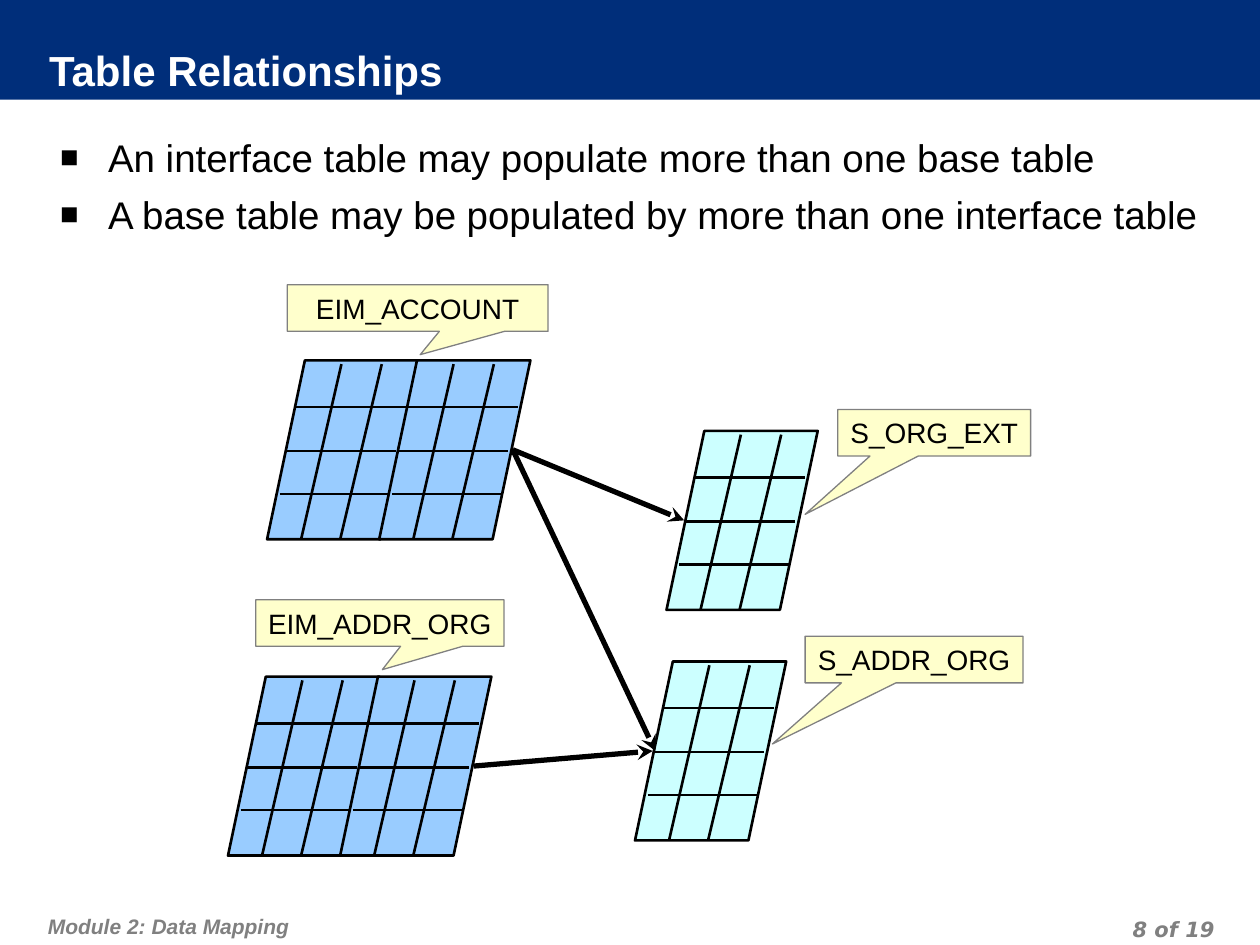
from dataclasses import dataclass

from lxml.etree import SubElement
from pptx import Presentation
from pptx.dml.color import RGBColor
from pptx.enum.shapes import MSO_CONNECTOR, MSO_SHAPE
from pptx.enum.text import MSO_ANCHOR, PP_ALIGN
from pptx.oxml.ns import qn
from pptx.util import Inches, Pt


@dataclass(frozen=True)
class Theme:
    """Colours, fonts and type sizes of the slide."""
    navy: str = "002E7A"
    white: str = "FFFFFF"
    black: str = "000000"
    grey: str = "808080"
    interface_blue: str = "99CCFF"
    base_cyan: str = "CCFFFF"
    label_yellow: str = "FFFFCC"
    font: str = "Arial"
    page_font: str = "DejaVu Sans"
    title_size: int = 24
    body_size: int = 22
    label_size: int = 16
    footer_size: int = 12


THEME = Theme()
TILE_WIDTH, TILE_HEIGHT, TILE_STEP = 1.2, 1.42, 0.89
COLUMN_RULES = ((0.59, 0.27), (0.91, 0.58))
ROW_RULES = ((0.23, 0.37), (0.15, 0.72), (0.1, 1.06))


def inches(*lengths):
    """Convert plain numbers to slide lengths."""
    return [Inches(length) for length in lengths]


def style_font(paragraph, size, color, name=THEME.font, bold=False, italic=False):
    """Set the type of every run in a paragraph."""
    for run in paragraph.runs:
        font = run.font
        font.name, font.size = name, Pt(size)
        font.bold, font.italic = bold, italic
        font.color.rgb = RGBColor.from_string(color)


def set_insets(frame, left, top, right, bottom):
    """Set the four inner margins of a text frame."""
    frame.margin_left, frame.margin_top, frame.margin_right, frame.margin_bottom = inches(
        left, top, right, bottom)


def add_text(slide, box, lines, insets):
    """Add a wrapping text box with one paragraph per line."""
    frame = slide.shapes.add_textbox(*inches(*box)).text_frame
    frame.word_wrap = True
    set_insets(frame, *insets)
    frame.text = "\n".join(lines)
    return frame


def add_filled(slide, kind, box, fill, outline=None, weight=0.75):
    """Add a flat preset shape."""
    shape = slide.shapes.add_shape(kind, *inches(*box))
    shape.shadow.inherit = False
    shape.fill.solid()
    shape.fill.fore_color.rgb = RGBColor.from_string(fill)
    if outline:
        shape.line.color.rgb = RGBColor.from_string(outline)
        shape.line.width = Pt(weight)
    else:
        shape.line.fill.background()
    return shape


def add_rule(slide, start, end, weight=1.5, arrow=False):
    """Add a straight black line, with an arrowhead at its end if wanted."""
    rule = slide.shapes.add_connector(MSO_CONNECTOR.STRAIGHT, *inches(*start, *end))
    rule.line.color.rgb = RGBColor.from_string(THEME.black)
    rule.line.width = Pt(weight)
    if arrow:
        SubElement(rule.line._get_or_add_ln(), qn("a:tailEnd"), type="stealth")
    SubElement(rule._element.spPr, qn("a:effectLst"))


def add_header(slide, box, title):
    """Draw the title band and its title."""
    left, top, width, height = box
    add_filled(slide, MSO_SHAPE.RECTANGLE, box, THEME.navy)
    title_box = (left + 0.39, top + height - 0.41, width - 0.83, 0.4)
    frame = add_text(slide, title_box, [title], (0, 0, 0.05, 0.05))
    frame.vertical_anchor = MSO_ANCHOR.MIDDLE
    style_font(frame.paragraphs[0], THEME.title_size, THEME.white, bold=True)


def add_bullets(slide, box, points):
    """Write the square-bulleted statements."""
    frame = add_text(slide, box, points, (0.1, 0.13, 0.1, 0.05))
    for index, paragraph in enumerate(frame.paragraphs):
        if index:
            paragraph.space_before = Pt(6.5)
        properties = paragraph._p.get_or_add_pPr()
        properties.set("marL", str(Inches(0.38)))
        properties.set("indent", str(-Inches(0.38)))
        bullet_color = SubElement(properties, qn("a:buClr"))
        SubElement(bullet_color, qn("a:srgbClr"), val=THEME.black)
        SubElement(properties, qn("a:buSzPct"), val="80000")
        SubElement(properties, qn("a:buFont"), typeface=THEME.font)
        SubElement(properties, qn("a:buChar"), char="■")
        style_font(paragraph, THEME.body_size, THEME.black)


def add_table_icon(slide, left, top, fill, tiles):
    """Draw a slanted table from three-column tiles set side by side."""
    for tile in range(tiles):
        x = left + tile * TILE_STEP
        sheet = add_filled(slide, MSO_SHAPE.PARALLELOGRAM,
                           (x, top, TILE_WIDTH, TILE_HEIGHT), fill, THEME.black, 1.5)
        sheet.adjustments[0] = 0.25
        for upper, lower in COLUMN_RULES:
            add_rule(slide, (x + upper, top + 0.03), (x + lower, top + TILE_HEIGHT))
        for offset, drop in ROW_RULES:
            add_rule(slide, (x + offset, top + drop), (x + offset + 0.87, top + drop))


def add_callout(slide, box, name, pointer):
    """Label a table with a callout that points at it."""
    callout = add_filled(slide, MSO_SHAPE.RECTANGULAR_CALLOUT, box,
                         THEME.label_yellow, THEME.grey)
    callout.adjustments[0], callout.adjustments[1] = pointer
    frame = callout.text_frame
    frame.word_wrap = False
    frame.vertical_anchor = MSO_ANCHOR.MIDDLE
    set_insets(frame, 0.1, 0.05, 0.1, 0.05)
    frame.text = name
    paragraph = frame.paragraphs[0]
    paragraph.alignment = PP_ALIGN.CENTER
    style_font(paragraph, THEME.label_size, THEME.black)


def add_diagram(slide, left, top):
    """Draw the interface tables, the base tables and the arrows between them."""
    blue, cyan = THEME.interface_blue, THEME.base_cyan
    tables = (
        (3.48, 1.16, cyan, 1, "S_ORG_EXT", (4.84, 0.99, 1.53), (-0.67, 1.75)),
        (3.23, 2.99, cyan, 1, "S_ADDR_ORG", (4.58, 2.79, 1.73), (-0.65, 1.81)),
        (0, 3.11, blue, 2, "EIM_ADDR_ORG", (0.22, 2.5, 1.97), (0.01, 1)),
        (0.31, 0.6, blue, 2, "EIM_ACCOUNT", (0.47, 0, 2.07), (0.01, 1)),
    )
    for x, y, fill, tiles, name, (label_x, label_y, width), pointer in tables:
        add_table_icon(slide, left + x, top + y, fill, tiles)
        add_callout(slide, (left + label_x, top + label_y, width, 0.37), name, pointer)
    account, address = (2.26, 1.31), (1.95, 3.82)
    arrows = ((account, (3.62, 1.87)), (account, (3.39, 3.7)), (address, (3.37, 3.7)))
    for (x1, y1), (x2, y2) in arrows:
        add_rule(slide, (left + x1, top + y1), (left + x2, top + y2), 3, arrow=True)


def add_footer(slide, box, text, insets, font, alignment):
    """Write one grey footer line."""
    paragraph = add_text(slide, box, [text], insets).paragraphs[0]
    paragraph.alignment = alignment
    paragraph.line_spacing = Pt(18)
    style_font(paragraph, THEME.footer_size, THEME.grey, font, bold=True, italic=True)


def main():
    """Build and save the slide."""
    deck = Presentation()
    deck.slide_width, deck.slide_height = inches(10, 7.5)
    slide = deck.slides.add_slide(deck.slide_layouts[6])
    add_header(slide, (0, 0, 10, 0.79), "Table Relationships")
    add_bullets(slide, (0.38, 0.93, 9.3, 6.18), (
        "An interface table may populate more than one base table",
        "A base table may be populated by more than one interface table",
    ))
    add_diagram(slide, 1.81, 2.26)
    add_footer(slide, (0.33, 7.1, 6.18, 0.4), "Module 2: Data Mapping",
               (0.05, 0.1, 0.05, 0.05), THEME.font, PP_ALIGN.LEFT)
    add_footer(slide, (7.36, 7.22, 2.33, 0.25), "8 of 19",
               (0.05, 0, 0.05, 0), THEME.page_font, PP_ALIGN.RIGHT)
    deck.save("out.pptx")


if __name__ == "__main__":
    main()
